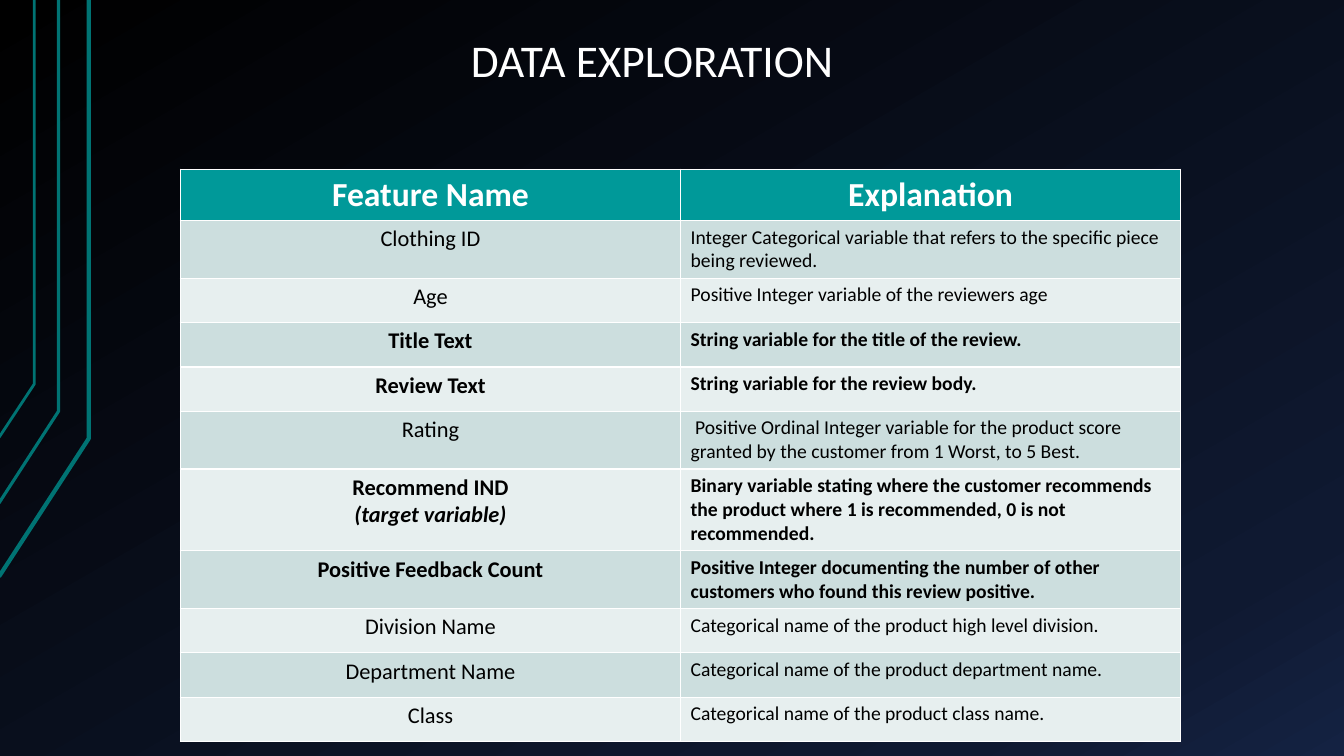
from copy import deepcopy

from pptx import Presentation
from pptx.dml.color import RGBColor
from pptx.enum.text import MSO_ANCHOR, MSO_AUTO_SIZE, PP_ALIGN
from pptx.oxml.ns import qn
from pptx.util import Inches, Pt

HUES = {
    "black": "000000", "navy": "0F1931", "blue": "142242", "white": "FFFFFF",
    "line": "007373", "head": "009999", "dark": "CCDEDE", "light": "E7EFEF",
}
ROWS = [
    ("Clothing ID", "Integer Categorical variable that refers to the specific "
     "piece being reviewed.", False),
    ("Age", "Positive Integer variable of the reviewers age", False),
    ("Title Text", "String variable for the title of the review.", True),
    ("Review Text", "String variable for the review body.", True),
    ("Rating", " Positive Ordinal Integer variable for the product score granted "
     "by the customer from 1 Worst, to 5 Best.", False),
    ("Recommend IND\n(target variable)", "Binary variable stating where the "
     "customer recommends the product where 1 is recommended, 0 is not "
     "recommended.", True),
    ("Positive Feedback Count", "Positive Integer documenting the number of other "
     "customers who found this review positive.", True),
    ("Division Name", "Categorical name of the product high level division.", False),
    ("Department Name", "Categorical name of the product department name.", False),
    ("Class", "Categorical name of the product class name.", False),
]


def hue(name):
    """Return the named colour."""
    return RGBColor.from_string(HUES[name])


def write(frame, text, size, color="black", bold=False, align=PP_ALIGN.LEFT):
    """Write text into a frame, one paragraph a line, bracketed lines in italics."""
    frame.text = text
    for para in frame.paragraphs:
        para.alignment = align
        font = para.runs[0].font
        font.name, font.size, font.bold = "Calibri", Pt(size), bold
        font.italic = para.text.startswith("(")
        font.color.rgb = hue(color)


def paint(slide):
    """Fill the background with a three-stop gradient."""
    fill = slide.background.fill
    fill.gradient()
    fill.gradient_angle = 300
    stops = slide.element.find(".//" + qn("a:gsLst"))
    stops.append(deepcopy(stops[-1]))
    tones = [(0, "black"), (0.85, "navy"), (1, "blue")]
    for stop, (place, name) in zip(fill.gradient_stops, tones):
        stop.position = place
        stop.color.rgb = hue(name)


def trace(slide, left, top):
    """Draw the bent lines down the left edge."""
    bends = [(0.89, 4.35, 5.72, 3), (0.59, 4.08, 4.99, 2.25), (0.35, 3.81, 4.34, 2)]
    for wide, bend, end, width in bends:
        pen = slide.shapes.build_freeform(left, top + Inches(end))
        edge = left + Inches(wide)
        pen.add_line_segments([(edge, top + Inches(bend)), (edge, top)], close=False)
        line = pen.convert_to_shape()
        line.shadow.inherit = False
        line.fill.background()
        line.line.color.rgb = hue("line")
        line.line.width = Pt(width)


def head(slide, left, top, width, height):
    """Place and format the title."""
    title = slide.shapes.title
    title.left, title.top, title.width, title.height = left, top, width, height
    frame = title.text_frame
    frame.auto_size = MSO_AUTO_SIZE.NONE
    frame.word_wrap = True
    frame.vertical_anchor = MSO_ANCHOR.BOTTOM
    frame.margin_left = frame.margin_right = Inches(0.13)
    frame.margin_top = frame.margin_bottom = Inches(0.07)
    write(frame, "DATA EXPLORATION", 32.4, "white")
    frame.paragraphs[0].line_spacing = 0.9


def chart(slide, left, top, width, height):
    """Build the table of features."""
    table = slide.shapes.add_table(len(ROWS) + 1, 2, left, top, width, height).table
    for row in table.rows:
        row.height = Inches(0.44)
    table.rows[1].height = Inches(0.5)
    for col, text in enumerate(["Feature Name", "Explanation"]):
        cell = table.cell(0, col)
        cell.fill.solid()
        cell.fill.fore_color.rgb = hue("head")
        write(cell.text_frame, text, 24, "white", True, PP_ALIGN.CENTER)
    for num, (name, note, bold) in enumerate(ROWS, 1):
        cells = table.cell(num, 0), table.cell(num, 1)
        for cell in cells:
            cell.fill.solid()
            cell.fill.fore_color.rgb = hue("dark" if num % 2 else "light")
        write(cells[0].text_frame, name, 16, bold=bold, align=PP_ALIGN.CENTER)
        write(cells[1].text_frame, note, 14, bold=bold)


def main():
    """Build and save the slide."""
    deck = Presentation()
    deck.slide_width, deck.slide_height = Inches(13.33), Inches(7.5)
    slide = deck.slides.add_slide(deck.slide_layouts[5])
    paint(slide)
    trace(slide, Inches(-0.01), 0)
    head(slide, Inches(4.54), Inches(0.37), Inches(4.62), Inches(0.57))
    chart(slide, Inches(1.79), Inches(1.68), Inches(9.92), Inches(4.9))
    deck.save("out.pptx")


if __name__ == "__main__":
    main()
